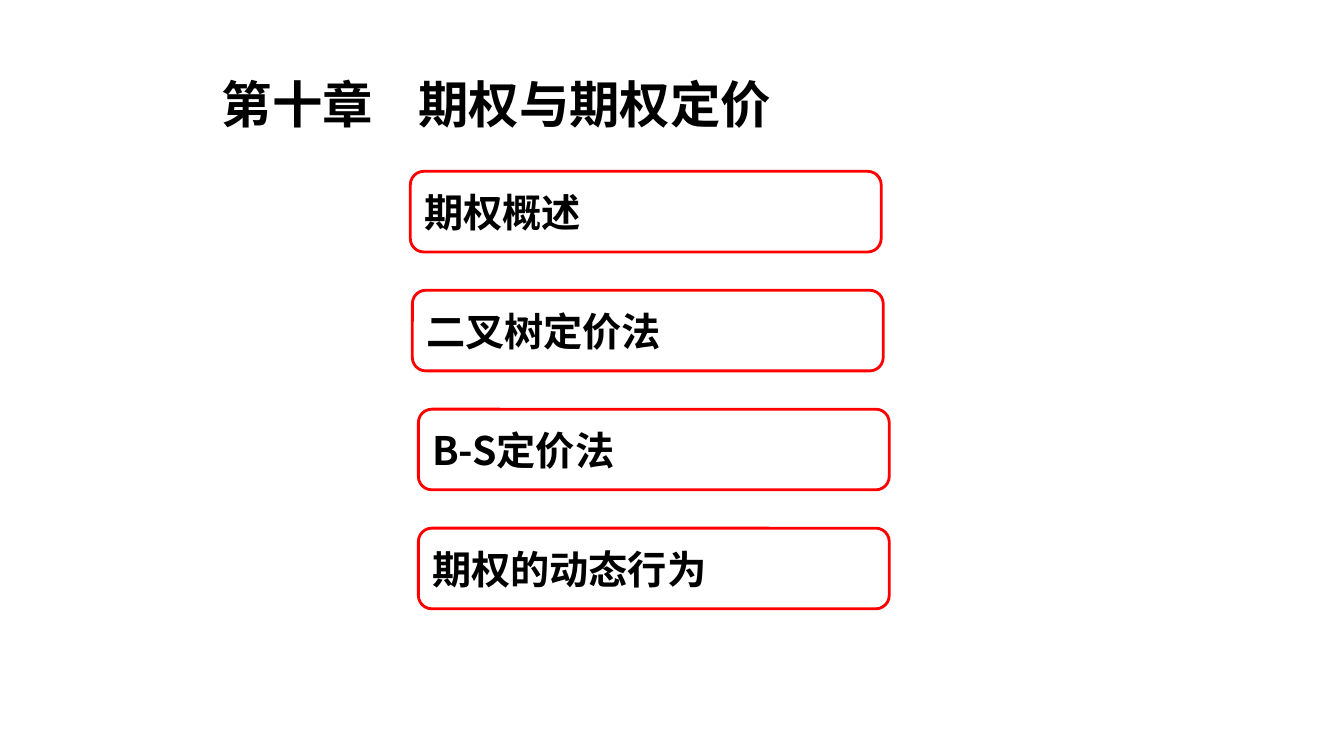
from lxml import etree
from pptx import Presentation
from pptx.dml.color import RGBColor
from pptx.enum.shapes import MSO_SHAPE
from pptx.enum.text import MSO_ANCHOR, PP_ALIGN
from pptx.oxml.ns import qn
from pptx.util import Inches, Pt

# Content
CHAPTER = "第十章\t期权与期权定价"
SECTIONS = [  # (text, left edge)
    ("期权概述", 4.07),
    ("二叉树定价法", 4.09),
    ("B-S定价法", 4.15),
    ("期权的动态行为", 4.15),
]
COLORS = {"text": "000000", "outline": "FF0000"}
CJK_FONT = "Noto Sans CJK SC"

# Layout in inches
FIRST_TOP, SECTION_STEP = 1.7, 1.18
SECTION_WIDTH, SECTION_HEIGHT = 4.67, 0.8
CHAPTER_TAB = 1.95


def write(shape, text, size, latin_font):
    paragraph = shape.text_frame.paragraphs[0]
    paragraph.text = text
    paragraph.alignment = PP_ALIGN.LEFT
    shape.text_frame.word_wrap = True
    for run in paragraph.runs:
        font = run.font
        font.size, font.bold, font.name = Pt(size), True, latin_font
        font.color.rgb = RGBColor.from_string(COLORS["text"])
        east_asian = etree.SubElement(font._element, qn("a:ea"))
        east_asian.set("typeface", CJK_FONT)
    return paragraph


prs = Presentation()
prs.slide_width, prs.slide_height = Inches(13.33), Inches(7.5)
slide = prs.slides.add_slide(prs.slide_layouts[6])

# Chapter title, its two parts set apart by a tab stop
chapter = slide.shapes.add_textbox(Inches(2.1), Inches(0.68), Inches(8.74), Inches(0.7))
title = write(chapter, CHAPTER, 36, "Arial")
tabs = etree.SubElement(title._p.get_or_add_pPr(), qn("a:tabLst"))
etree.SubElement(tabs, qn("a:tab"), pos=str(Inches(CHAPTER_TAB)), algn="l")

# Section boxes
for row, (name, left) in enumerate(SECTIONS):
    section = slide.shapes.add_shape(
        MSO_SHAPE.FLOWCHART_ALTERNATE_PROCESS,
        Inches(left), Inches(FIRST_TOP + row * SECTION_STEP),
        Inches(SECTION_WIDTH), Inches(SECTION_HEIGHT))
    section.shadow.inherit = False
    section.fill.background()
    section.line.color.rgb = RGBColor.from_string(COLORS["outline"])
    section.line.width = Pt(2)
    section.text_frame.vertical_anchor = MSO_ANCHOR.MIDDLE
    write(section, name, 28, CJK_FONT)

prs.save("out.pptx")
